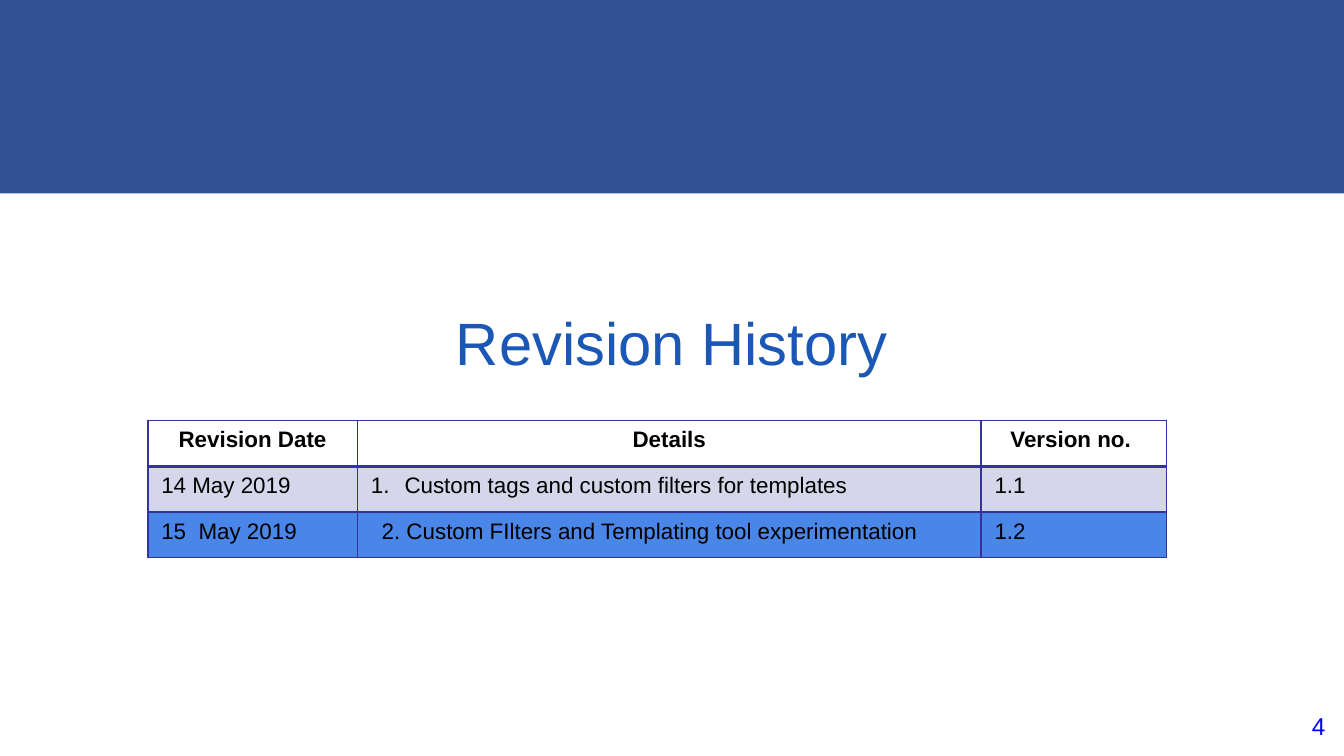
from dataclasses import dataclass

from pptx import Presentation
from pptx import util as u
from pptx.dml import color
from pptx.enum import shapes, text
from pptx.oxml import xmlchemy as xml


@dataclass(frozen=True)
class Theme:
    font: str = "Arial"
    band: str = "335295"
    title: str = "1B57B5"
    page: str = "0000FF"
    ink: str = "000000"
    rule: str = "333399"
    pale: str = "D6D6EB"
    blue: str = "4A86E8"
    title_size: float = 32
    page_size: float = 13
    cell_size: float = 12


T = Theme()
LEFT, MID, RIGHT = text.PP_ALIGN.LEFT, text.PP_ALIGN.CENTER, text.PP_ALIGN.RIGHT
WIDTH = 10
WIDTHS = (1.56, 4.64, 1.38)
HEIGHT = 0.34
ROWS = (
    (None, ("Revision Date", "Details", "Version no. ")),
    (T.pale, ("14 May 2019", "Custom tags and custom filters for templates", "1.1")),
    (T.blue, ("15  May 2019", "2. Custom FIlters and Templating tool experimentation", "1.2")),
)


def rgb(code):
    return color.RGBColor.from_string(code)


def write(frame, words, size=T.cell_size, ink=T.ink, bold=False, align=LEFT):
    para = frame.paragraphs[0]
    para.alignment = align
    run = para.add_run()
    run.text = words
    font = run.font
    font.name, font.size, font.bold = T.font, u.Pt(size), bold
    font.color.rgb = rgb(ink)
    return para


def add_band(slide, width, height):
    band = slide.shapes.add_shape(
        shapes.MSO_SHAPE.RECTANGLE, 0, 0, u.Inches(width), u.Inches(height))
    band.shadow.inherit = False
    band.fill.solid()
    band.fill.fore_color.rgb = rgb(T.band)
    band.line.fill.background()


def add_label(slide, words, box, pad=0.05, anchor=text.MSO_ANCHOR.TOP, **style):
    frame = slide.shapes.add_textbox(*map(u.Inches, box)).text_frame
    frame.word_wrap = True
    frame.vertical_anchor = anchor
    frame.margin_left = frame.margin_right = u.Inches(0.1)
    frame.margin_top = frame.margin_bottom = u.Inches(pad)
    write(frame, words, **style)


def indent(para, left, first=0, number=False):
    props = para._p.get_or_add_pPr()
    props.set("marL", str(u.Inches(left)))
    props.set("indent", str(u.Inches(first)))
    if number:
        mark = xml.OxmlElement("a:buAutoNum")
        mark.set("type", "arabicPeriod")
        props.append(mark)


def add_rules(cell, base):
    props = cell._tc.get_or_add_tcPr()
    for spot, side in enumerate("LRTB"):
        line = xml.OxmlElement(f"a:ln{side}")
        line.set("w", str(u.Pt(base if side == "B" else 1)))
        fill = xml.OxmlElement("a:solidFill")
        tint = xml.OxmlElement("a:srgbClr")
        tint.set("val", T.rule)
        fill.append(tint)
        line.append(fill)
        props.insert(spot, line)


def fill_cell(cell, words, fill, head):
    cell.margin_left = cell.margin_right = u.Inches(0.1)
    cell.margin_top = cell.margin_bottom = u.Inches(0.05)
    if fill:
        cell.fill.solid()
        cell.fill.fore_color.rgb = rgb(fill)
    else:
        cell.fill.background()
    add_rules(cell, 2 if head else 1)
    return write(cell.text_frame, words, bold=head, align=MID if head else LEFT)


def add_grid(slide, left, top):
    size = (sum(WIDTHS), HEIGHT * len(ROWS))
    grid = slide.shapes.add_table(
        len(ROWS), len(WIDTHS), *map(u.Inches, (left, top, *size))).table
    grid.first_row = grid.horz_banding = False
    for col, width in zip(grid.columns, WIDTHS):
        col.width = u.Inches(width)
    for r, (fill, words) in enumerate(ROWS):
        grid.rows[r].height = u.Inches(HEIGHT)
        paras = [fill_cell(grid.cell(r, c), word, fill, r == 0)
                 for c, word in enumerate(words)]
        if r == 1:
            indent(paras[1], 0.25, -0.25, number=True)
        elif r == 2:
            indent(paras[1], 0.08)


def main():
    deck = Presentation()
    deck.slide_width = u.Inches(WIDTH)
    deck.slide_height = u.Inches(WIDTH * 9 / 16)
    slide = deck.slides.add_slide(deck.slide_layouts[6])
    add_band(slide, WIDTH, 1.44)
    add_label(slide, "4", (9.36, 5.19, 0.6, 0.43), pad=0.1,
              size=T.page_size, ink=T.page, align=RIGHT)
    add_label(slide, "Revision History", (0.5, 2.11, 9, 0.87),
              anchor=text.MSO_ANCHOR.MIDDLE,
              size=T.title_size, ink=T.title, align=MID)
    add_grid(slide, 1.1, 3.13)
    deck.save("out.pptx")


if __name__ == "__main__":
    main()
